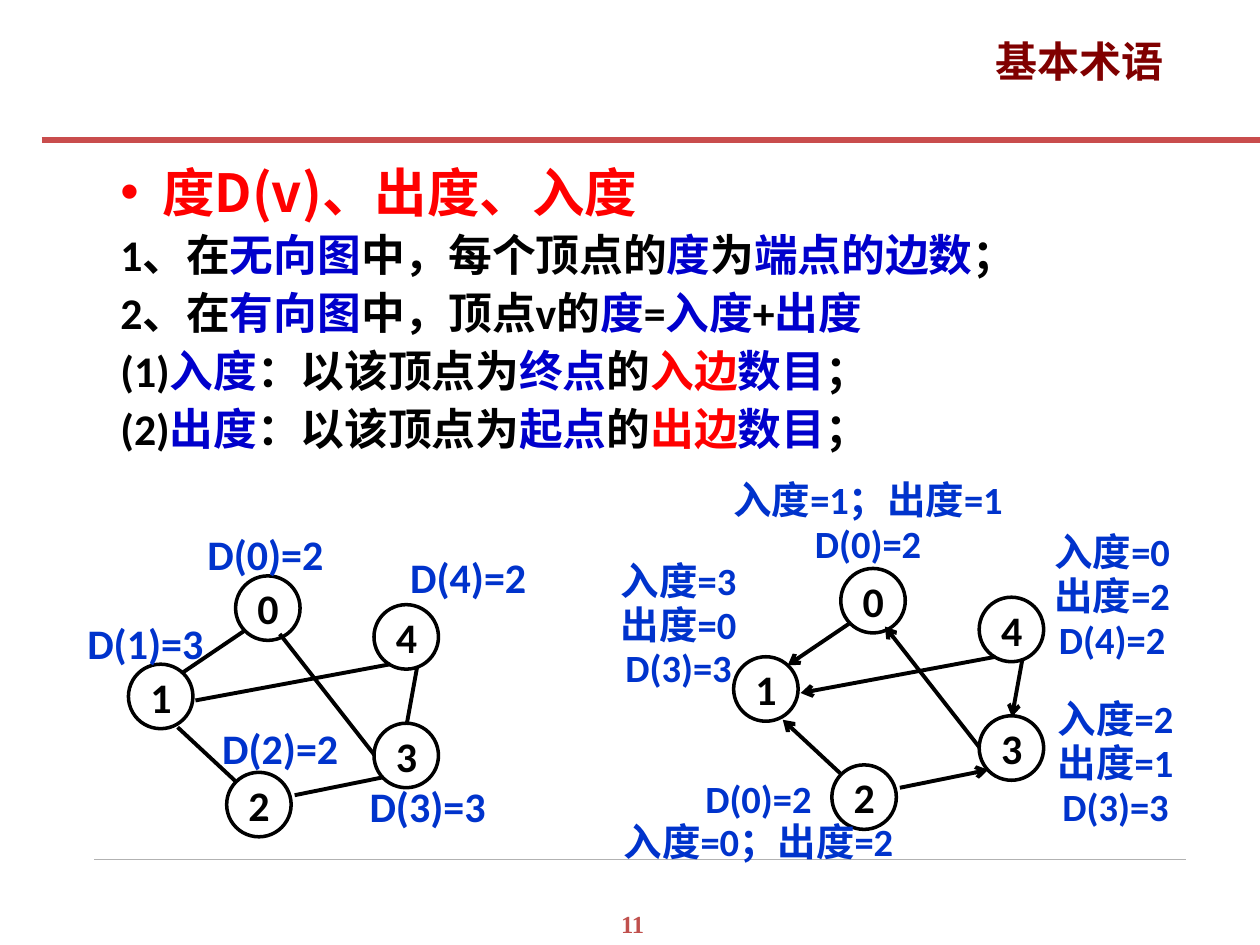
"""Build the slide on vertex degree, in-degree and out-degree."""
from lxml.etree import SubElement
from pptx import Presentation
from pptx.dml.color import RGBColor
from pptx.enum.shapes import MSO_CONNECTOR as CONN, MSO_SHAPE as SHAPE
from pptx.enum.text import MSO_ANCHOR as ANCHOR, MSO_AUTO_SIZE as AUTO, PP_ALIGN as ALIGN
from pptx.oxml.ns import qn
from pptx.util import Cm, Pt

COLORS = {"k": "000000", "b": "0000CC", "r": "FF0000", "label": "0033CC",
          "title": "800000", "rule": "C94D4D", "number": "C0504D", "footer": "B2B2B2"}
CJK = "Noto Sans CJK SC"
NODE_SIZE = 1.3
NODES = {"0": (4.75, 11.61), "1": (2.59, 13.39), "3": (7.54, 14.58),
         "2": (4.57, 15.57), "4": (7.54, 12.19)}
EDGES = [(4.95, 12.7, 3.68, 13.56), (4.75, 15.75, 3.58, 14.66),
         (7.87, 13.39, 3.94, 14.12), (8.41, 13.44, 8.2, 14.6),
         (7.54, 15.21, 5.64, 12.78), (5.94, 16.03, 7.72, 15.67)]
DEFINITIONS = [
    [("1、在", "k"), ("无向图", "b"), ("中，每个顶点的", "k"), ("度", "b"),
     ("为", "k"), ("端点的边数", "b"), ("；", "k")],
    [("2、在", "k"), ("有向图", "b"), ("中，顶点v的", "k"), ("度", "b"),
     ("=", "k"), ("入度", "b"), ("+", "k"), ("出度", "b")],
    [("(1)", "k"), ("入度", "b"), ("：以该顶点为", "k"), ("终点", "b"),
     ("的", "k"), ("入边", "r"), ("数目", "b"), ("；", "k")],
    [("(2)", "k"), ("出度", "b"), ("：以该顶点为", "k"), ("起点", "b"),
     ("的", "k"), ("出边", "r"), ("数目", "b"), ("；", "k")],
]
DEGREES = [("D(0)=2", 3.66, 10.52), ("D(4)=2", 7.75, 11.0), ("D(1)=3", 1.24, 12.32),
           ("D(2)=2", 3.96, 14.45), ("D(3)=3", 6.93, 15.6)]
DIRECTED_DEGREES = [
    ("入度=1；出度=1\nD(0)=2", 14.12, 9.53, 6.76, 2.03),
    ("入度=0\n出度=2\nD(4)=2", 20.73, 10.57, 3.38, 2.9),
    ("入度=2\n出度=1\nD(3)=3", 20.8, 13.94, 3.38, 2.9),
    ("入度=3\n出度=0\nD(3)=3", 11.99, 11.15, 3.38, 2.9),
    ("D(0)=2\n入度=0；出度=2", 11.91, 15.54, 6.76, 2.03),
]


def rgb(name):
    return RGBColor.from_string(COLORS[name])


def style_run(r, size, color, font="Calibri"):
    r.font.size, r.font.bold, r.font.name = Pt(size), True, font
    r.font.color.rgb = rgb(color)
    SubElement(r.font._element, qn("a:ea")).set("typeface", CJK)


def add_text(s, text, x, y, w, h, size, color, font="Calibri", spacing=None):
    tf = s.shapes.add_textbox(Cm(x), Cm(y), Cm(w), Cm(h)).text_frame
    tf.word_wrap = True
    tf.text = text
    for p in tf.paragraphs:
        p.alignment = ALIGN.CENTER
        if spacing:
            p.line_spacing = Pt(spacing)
        style_run(p.runs[0], size, color, font)


def add_line(s, x1, y1, x2, y2, color, width, arrow=False):
    line = s.shapes.add_connector(CONN.STRAIGHT, Cm(x1), Cm(y1), Cm(x2), Cm(y2))
    line.line.color.rgb, line.line.width = rgb(color), Pt(width)
    if arrow:
        SubElement(line.line._get_or_add_ln(), qn("a:tailEnd")).set("type", "arrow")
    SubElement(line._element.spPr, qn("a:effectLst"))


def add_node(s, name, x, y):
    sp = s.shapes.add_shape(SHAPE.OVAL, Cm(x), Cm(y), Cm(NODE_SIZE), Cm(NODE_SIZE))
    sp.shadow.inherit = False
    sp.fill.background()
    sp.line.color.rgb, sp.line.width = rgb("k"), Pt(2)
    tf = sp.text_frame
    tf.vertical_anchor = ANCHOR.MIDDLE
    tf.text = name
    tf.paragraphs[0].alignment = ALIGN.CENTER
    style_run(tf.paragraphs[0].runs[0], 24, "k")


def add_graph(s, dx=0, dy=0, directed=False):
    for name, (x, y) in NODES.items():
        add_node(s, name, x + dx, y + dy)
    for x1, y1, x2, y2 in EDGES:
        add_line(s, x1 + dx, y1 + dy, x2 + dx, y2 + dy, "k", 2.25, directed)


def format_title(s):
    sp = s.shapes.title
    sp.left, sp.top, sp.width, sp.height = Cm(18.64), Cm(0.58), Cm(6.07), Cm(1.75)
    tf = sp.text_frame
    tf.text = " 基本术语"
    tf.word_wrap, tf.auto_size, tf.vertical_anchor = False, AUTO.NONE, ANCHOR.TOP
    tf.paragraphs[0].alignment = ALIGN.CENTER
    style_run(tf.paragraphs[0].runs[0], 24, "title", CJK)


def add_definitions(s):
    tf = s.shapes.add_textbox(Cm(2.18), Cm(3.1), Cm(22.23), Cm(6.2)).text_frame
    tf.word_wrap = True
    p = tf.paragraphs[0]
    p.text = " 度D(v)、出度、入度"
    style_run(p.runs[0], 30, "r", CJK)
    pPr = p._p.get_or_add_pPr()
    pPr.set("marL", str(Cm(0.6)))
    pPr.set("indent", str(-Cm(0.6)))
    SubElement(pPr, qn("a:buFont")).set("typeface", "Arial")
    SubElement(pPr, qn("a:buChar")).set("char", "•")
    for parts in DEFINITIONS:
        p = tf.add_paragraph()
        p.line_spacing = Pt(33)
        for text, color in parts:
            r = p.add_run()
            r.text = text
            style_run(r, 25, color)


def main():
    prs = Presentation()
    prs.slide_width, prs.slide_height = Cm(25.4), Cm(19.05)
    s = prs.slides.add_slide(prs.slide_layouts[5])
    add_line(s, 1.9, 17.32, 23.9, 17.32, "footer", 0.25)
    add_text(s, "11", 12.12, 18.21, 1.27, 0.86, 14, "number", "Times New Roman")
    add_line(s, 0.84, 2.82, 25.4, 2.82, "rule", 3.5)
    format_title(s)
    add_definitions(s)
    add_graph(s)
    for text, x, y in DEGREES:
        add_text(s, text, x, y, 3.38, 1.27, 24, "label")
    add_graph(s, 12.2, -0.15, directed=True)
    for text, x, y, w, h in DIRECTED_DEGREES:
        add_text(s, text, x, y, w, h, 22, "label", spacing=25)
    prs.save("out.pptx")


if __name__ == "__main__":
    main()
